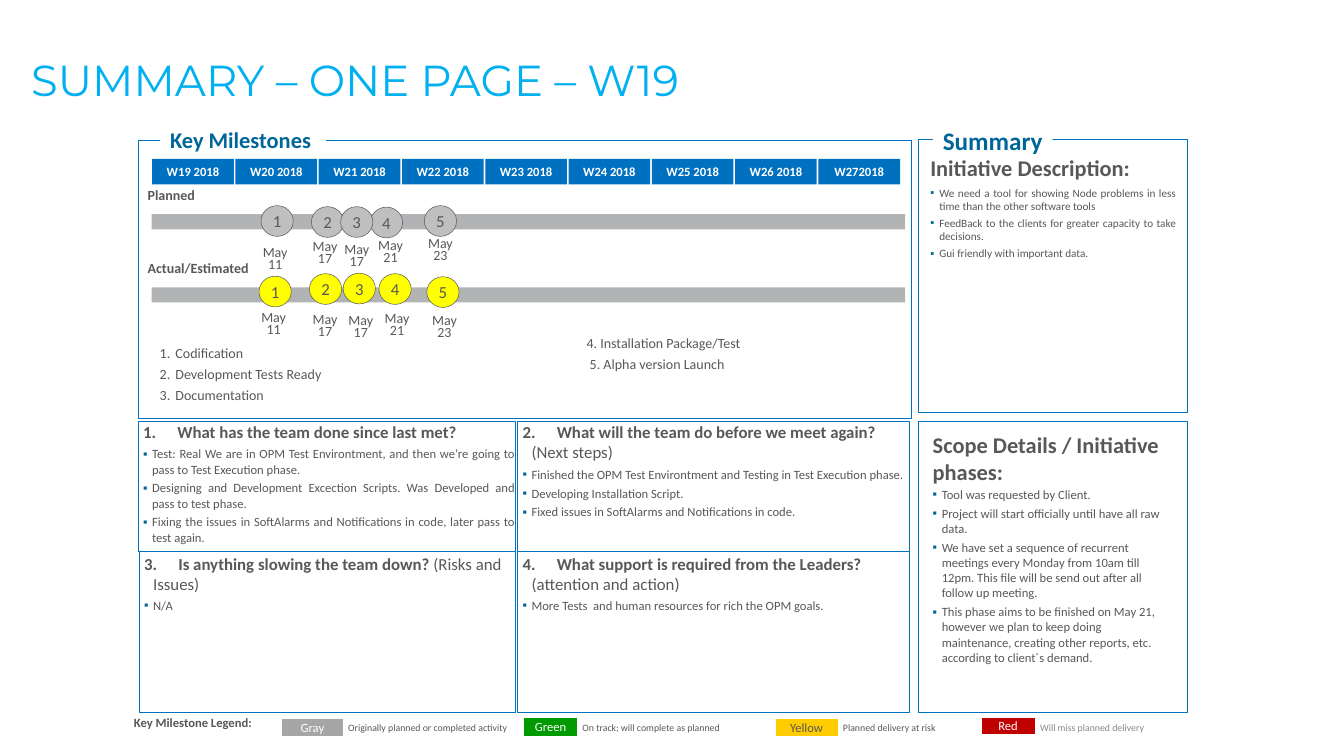
from lxml.etree import SubElement
from pptx import Presentation
from pptx.dml.color import RGBColor
from pptx.enum.shapes import MSO_SHAPE
from pptx.enum.text import MSO_ANCHOR, PP_ALIGN
from pptx.oxml.ns import qn
from pptx.util import Inches, Pt

FONT = "Calibri"
TEXT, BLUE, HEADING, WHITE = "58585A", "0070C0", "006699", "FFFFFF"
BAR, GRAY, YELLOW = "B1B3B4", "BFBFBF", "FFFF00"
LEFT, CENTER, JUSTIFY = PP_ALIGN.LEFT, PP_ALIGN.CENTER, PP_ALIGN.JUSTIFY


def color(value):
    """Turn a hex string into a colour."""
    return RGBColor.from_string(value)


def add_box(slide, box, fill=None, line=None, line_width=0.75, kind=MSO_SHAPE.RECTANGLE):
    """Add a preset shape without shadow, with top-left text."""
    shape = slide.shapes.add_shape(kind, *[Inches(value) for value in box])
    shape.shadow.inherit = False
    if fill:
        shape.fill.solid()
        shape.fill.fore_color.rgb = color(fill)
    else:
        shape.fill.background()
    if line:
        shape.line.color.rgb = color(line)
        shape.line.width = Pt(line_width)
    else:
        shape.line.fill.background()
    shape.text_frame.vertical_anchor = MSO_ANCHOR.TOP
    shape.text_frame.word_wrap = True
    return shape


def add_text_box(slide, box):
    """Add a wrapping text box."""
    shape = slide.shapes.add_textbox(*[Inches(value) for value in box])
    shape.text_frame.word_wrap = True
    return shape


def set_margins(shape, left, top, right, bottom):
    """Set the inner margins of a shape in inches."""
    frame = shape.text_frame
    frame.margin_left, frame.margin_top = Inches(left), Inches(top)
    frame.margin_right, frame.margin_bottom = Inches(right), Inches(bottom)


def format_runs(paragraph, size, text_color=TEXT, bold=False, font=FONT):
    """Format every run of a paragraph."""
    for run in paragraph.runs:
        run.font.size = Pt(size)
        run.font.name = font
        run.font.bold = bold
        run.font.color.rgb = color(text_color)


def write_lines(shape, lines, size, text_color=TEXT, bold=False, align=LEFT, spacing=0.0):
    """Fill a shape with equally formatted paragraphs; spacing is a share of the size."""
    shape.text_frame.text = "\n".join(lines)
    for paragraph in shape.text_frame.paragraphs:
        paragraph.alignment = align
        paragraph.space_before = paragraph.space_after = Pt(size * spacing)
        format_runs(paragraph, size, text_color, bold)


def write_label(shape, text, size, text_color=TEXT, bold=False, align=CENTER):
    """Write one unwrapped, vertically centred line."""
    write_lines(shape, [text], size, text_color, bold, align)
    shape.text_frame.vertical_anchor = MSO_ANCHOR.MIDDLE
    shape.text_frame.word_wrap = False


def set_indent(paragraph, indent):
    """Give a paragraph a hanging indent and return its properties."""
    properties = paragraph._p.get_or_add_pPr()
    properties.set("marL", str(Inches(indent)))
    properties.set("indent", str(-Inches(indent)))
    return properties


def add_bullets(frame, items, size, align):
    """Append square-bulleted paragraphs."""
    for item in items:
        paragraph = frame.add_paragraph()
        paragraph.text = item
        paragraph.alignment = align
        paragraph.space_before = paragraph.space_after = Pt(size * 0.15)
        format_runs(paragraph, size)
        properties = set_indent(paragraph, 0.18)
        bullet_color = SubElement(properties, qn("a:buClr"))
        SubElement(bullet_color, qn("a:srgbClr"), val=HEADING)
        SubElement(properties, qn("a:buFont"), typeface="Arial")
        SubElement(properties, qn("a:buChar"), char="▪")


def add_title(slide, box, text):
    """Place and format the title placeholder."""
    title = slide.shapes.title
    title.left, title.top, title.width, title.height = [Inches(value) for value in box]
    set_margins(title, 0.06, 0.06, 0.06, 0.06)
    title.text_frame.text = text
    title.text_frame.vertical_anchor = MSO_ANCHOR.TOP
    title.text_frame.paragraphs[0].alignment = LEFT
    format_runs(title.text_frame.paragraphs[0], 61.9, "00B0F0", font="Montserrat")


def add_frame_heading(slide, box, text, size):
    """Add a heading that interrupts the top edge of a frame."""
    heading = add_box(slide, box, WHITE)
    set_margins(heading, 0.1, 0, 0.1, 0)
    write_lines(heading, [text], size, HEADING, True, CENTER)


def add_track(slide, left, top, label, fill, milestones):
    """Add a labelled bar with numbered circles and their dates."""
    write_lines(add_text_box(slide, (left - 0.18, top - 0.6, 2.72, 0.44)), [label], 20, bold=True)
    add_box(slide, (left, top, 14.95, 0.3), BAR)
    for number, x, y, date_center, date_top, day in milestones:
        circle = add_box(slide, (left + x, top + y, 0.64, 0.61), fill, TEXT, kind=MSO_SHAPE.OVAL)
        write_label(circle, number, 24)
        date = add_text_box(slide, (left + date_center - 0.54, top + date_top, 1.08, 0.52))
        write_lines(date, ["May", day], 20, align=CENTER)
        for paragraph in date.text_frame.paragraphs:
            paragraph.line_spacing = 0.5
            paragraph.space_before = Pt(5)


def add_milestones(slide, box):
    """Add the framed timeline with its weeks, tracks and list of milestones."""
    left, top = box[:2]
    add_box(slide, box, line=BLUE, line_width=1.5)
    add_frame_heading(slide, (left + 0.44, top - 0.27, 3.29, 0.54), "Key Milestones ", 32)
    weeks = [f"W{week} 2018" for week in range(19, 27)] + ["W272018"]
    for index, week in enumerate(weeks):
        cell = add_box(slide, (left + 0.28 + index * 1.6525, top + 0.37, 1.62, 0.51), BLUE)
        write_label(cell, week, 18, WHITE, True)
    add_track(slide, left + 0.27, top + 1.47, "Planned", GRAY, [
        ("1", 2.17, -0.17, 2.45, 0.67, "11"), ("2", 3.17, -0.15, 3.44, 0.56, "17"),
        ("4", 4.34, -0.14, 4.74, 0.54, "21"), ("3", 3.75, -0.15, 4.07, 0.62, "17"),
        ("5", 5.41, -0.17, 5.73, 0.5, "23")])
    add_track(slide, left + 0.27, top + 2.92, "Actual/Estimated", YELLOW, [
        ("1", 2.13, -0.22, 2.42, 0.52, "11"), ("2", 3.13, -0.27, 3.44, 0.56, "17"),
        ("3", 3.8, -0.28, 4.15, 0.57, "17"), ("4", 4.51, -0.27, 4.87, 0.54, "21"),
        ("5", 5.46, -0.21, 5.81, 0.57, "23")])
    numbered = add_text_box(slide, (left + 0.33, top + 4, 8.21, 1.4))
    write_lines(numbered, [" Codification", " Development Tests Ready", " Documentation"],
                20, spacing=0.15)
    for paragraph in numbered.text_frame.paragraphs:
        SubElement(set_indent(paragraph, 0.25), qn("a:buAutoNum"), type="arabicPeriod")
    write_lines(add_text_box(slide, (left + 8.8, top + 3.8, 6.49, 1.4)),
                ["4. Installation Package/Test", " 5. Alpha version Launch"], 20, spacing=0.15)


def add_question(slide, box, margins, question, note, items, align=JUSTIFY):
    """Add one numbered question with its answers."""
    shape = add_box(slide, box, WHITE, BLUE)
    set_margins(shape, *margins)
    write_lines(shape, [question], 24, bold=True, spacing=0.15)
    paragraph = shape.text_frame.paragraphs[0]
    if note:
        paragraph.add_run().text = note
        format_runs(paragraph, 24)
        paragraph.runs[0].font.bold = True
    tabs = SubElement(set_indent(paragraph, 0.18), qn("a:tabLst"))
    SubElement(tabs, qn("a:tab"), pos=str(Inches(1)), algn="l")
    add_bullets(shape.text_frame, items, 18, align)


def add_side_panel(slide, box, text_offset, margin, heading, items, size, align, spacing):
    """Add a framed panel with a heading and bullets."""
    left, top, width, height = box
    add_box(slide, box, WHITE, BLUE, 1.5)
    shape = add_text_box(slide, (left + 0.19, top + text_offset, 4.98, height - 0.35))
    set_margins(shape, margin, 0.05, margin, 0.05)
    write_lines(shape, [heading], 32, bold=True, spacing=spacing)
    add_bullets(shape.text_frame, items, size, align)


def add_legend(slide, left, top):
    """Add the row that explains the milestone colours."""
    write_lines(add_text_box(slide, (left, top - 0.13, 3.56, 0.4)),
                ["Key Milestone Legend:"], 18, bold=True)
    for x, y, width, height, name, fill, name_color, meaning, meaning_color in [
            (3.03, 0, 1.22, 0.34, "Gray", "A6A6A6", WHITE,
             "Originally planned or completed activity", TEXT),
            (7.83, -0.03, 1.07, 0.38, "Green", "009900", WHITE,
             "On track; will complete as planned", TEXT),
            (12.82, 0, 1.25, 0.34, "Yellow", "FFCC00", TEXT, "Planned delivery at risk", TEXT),
            (16.91, -0.03, 1.07, 0.34, "Red", "C00000", WHITE,
             "Will miss planned delivery", "838787")]:
        chip = add_box(slide, (left + x, top + y, width, height), fill, WHITE)
        write_label(chip, name, 18, name_color)
        label = add_box(slide, (left + x + width, top, 2.46, 0.34))
        write_label(label, meaning, 14, meaning_color, align=LEFT)


presentation = Presentation()
presentation.slide_width, presentation.slide_height = Inches(26.67), Inches(15)
slide = presentation.slides.add_slide(presentation.slide_layouts[5])
add_title(slide, (0.56, 1, 25, 1.11), "SUMMARY – ONE PAGE – W19")
add_side_panel(slide, (18.22, 2.76, 5.34, 5.43), 0.25, 0.05, "Initiative Description: ", [
    "We need a tool for showing Node problems in less time than the other software tools",
    "FeedBack to the clients for greater capacity to take decisions.",
    "Gui friendly with important data."], 16, JUSTIFY, 0.15)
add_frame_heading(slide, (18.51, 2.49, 2.38, 0.61), "Summary", 36)
add_side_panel(slide, (18.22, 8.36, 5.34, 5.77), 0.15, 0.1, "Scope Details / Initiative phases: ", [
    "Tool was requested by Client.",
    "Project will start officially until have all raw data.",
    "We have set a sequence of recurrent meetings every Monday from 10am till 12pm. "
    "This file will be send out after all follow up meeting.",
    "This phase aims to be finished on May 21, however we plan to keep doing maintenance, "
    "creating other reports, etc. according to client´s demand."], 18, LEFT, 0)
add_milestones(slide, (2.74, 2.78, 15.35, 5.52))
add_question(slide, (2.74, 8.36, 7.48, 2.57), (0.1, 0.01, 0, 0.05),
             "1.\tWhat has the team done since last met? ", "", [
    "Test: Real We are in OPM Test Environtment, and then we’re going to pass to Test Execution phase.",
    "Designing and Development Excection Scripts. Was Developed and pass to test phase.",
    "Fixing the issues in SoftAlarms and Notifications in code, later pass to test again."])
add_question(slide, (10.27, 8.36, 7.78, 2.57), (0.1, 0.01, 0.1, 0.05),
             "2.\tWhat will the team do before we meet again? ", "(Next steps) ", [
    "Finished the OPM Test Environtment and Testing in Test Execution phase.",
    "Developing Installation Script.",
    "Fixed issues in SoftAlarms and Notifications in code. "])
add_question(slide, (2.76, 10.93, 7.47, 3.2), (0.1, 0.05, 0, 0.05),
             "3.\tIs anything slowing the team down? ", "(Risks and Issues)", ["N/A"], LEFT)
add_question(slide, (10.27, 10.93, 7.78, 3.2), (0.1, 0.05, 0.1, 0.05),
             "4.\tWhat support is required from the Leaders? ", "(attention and action) ",
             ["More Tests  and human resources for rich the OPM goals."])
add_legend(slide, 2.56, 14.26)
presentation.save("out.pptx")
